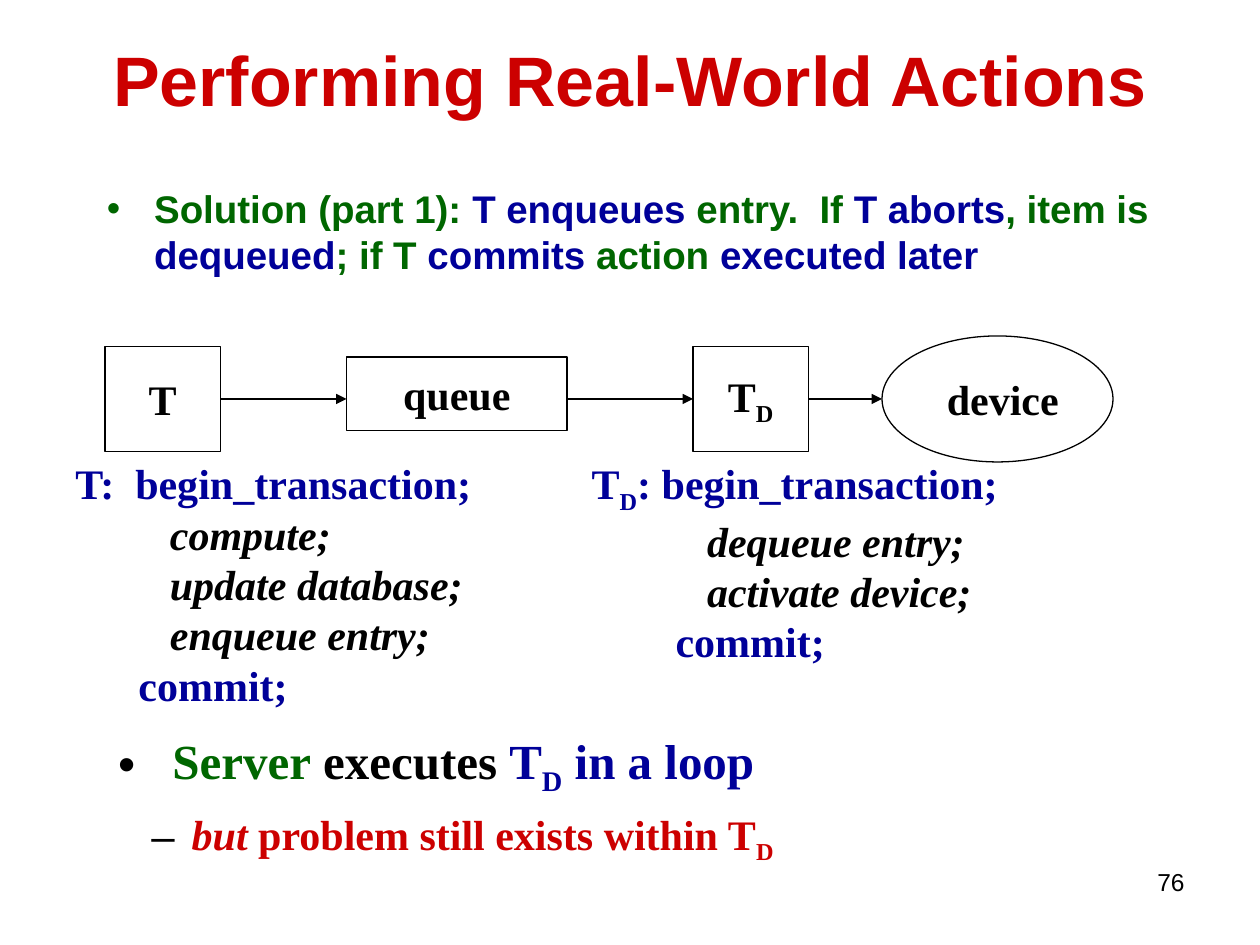
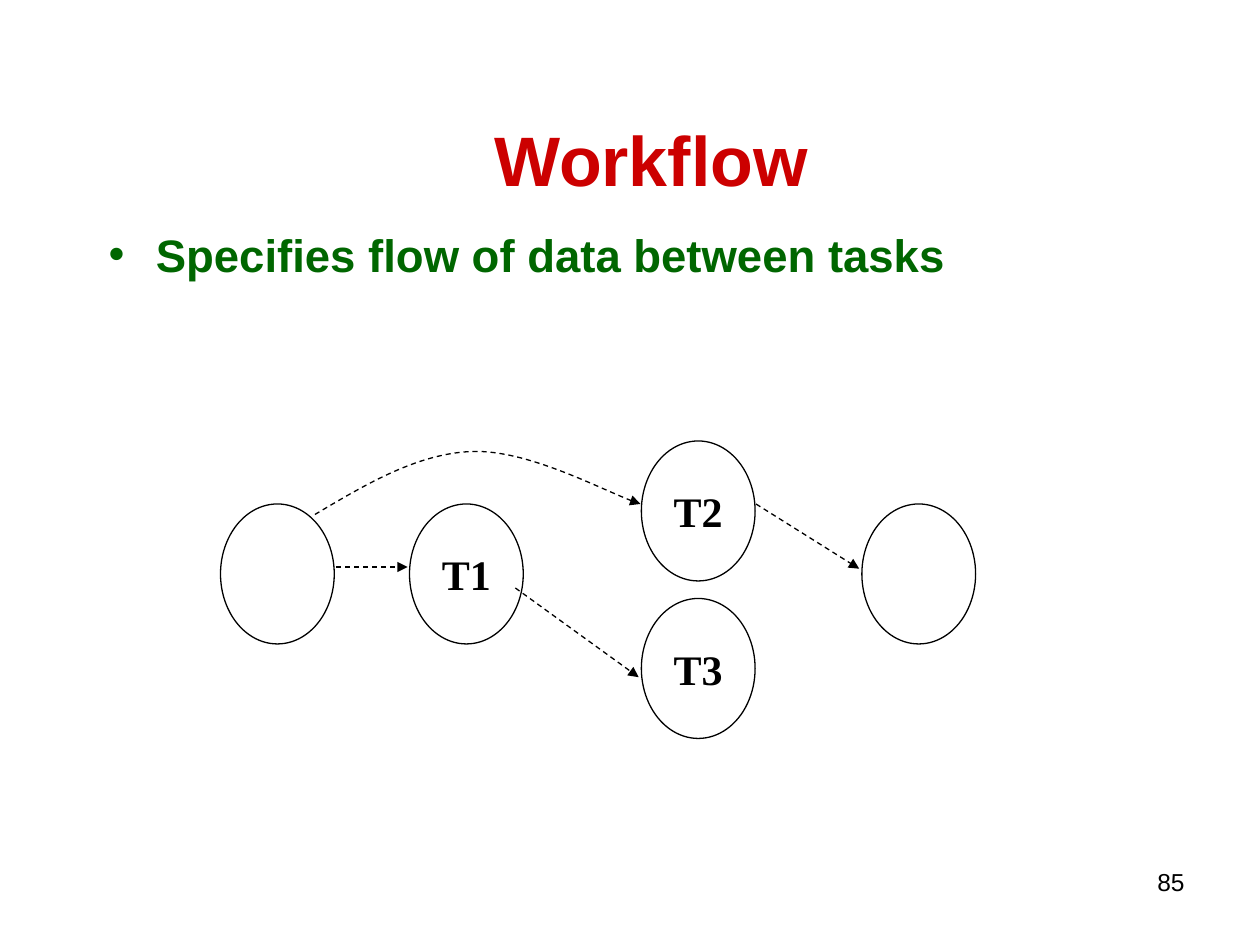
from dataclasses import dataclass

from lxml import etree
from pptx import Presentation
from pptx import util as u
from pptx.dml.color import RGBColor
from pptx.enum import dml, shapes, text
from pptx.oxml import ns

Pt = u.Pt


@dataclass(frozen=True)
class Theme:
    red: str = "CC0000"
    green: str = "006600"
    blue: str = "000099"
    black: str = "000000"
    white: str = "FFFFFF"
    sans: str = "Arial"
    serif: str = "Times New Roman"
    title: float = 40
    statement: float = 28
    definition: float = 26
    solution: float = 22
    body: float = 24
    number: float = 14
    line: float = 0.75


THEME = Theme()
LEFT, CENTER, RIGHT = text.PP_ALIGN.LEFT, text.PP_ALIGN.CENTER, text.PP_ALIGN.RIGHT
SUB, ITALIC = "sub", "italic"


def rgb(color):
    return RGBColor.from_string(color)


def add_xml(parent, tag, **attributes):
    return etree.SubElement(parent, ns.qn(tag), attributes)


def indent(paragraph, margin, hanging=0, bullet=None, color=THEME.black):
    properties = paragraph._p.get_or_add_pPr()
    properties.set("marL", str(Pt(margin)))
    properties.set("indent", str(Pt(-hanging)))
    if bullet:
        add_xml(add_xml(properties, "a:buClr"), "a:srgbClr", val=color)
        add_xml(properties, "a:buFont", typeface=THEME.sans)
        add_xml(properties, "a:buChar", char=bullet)


def write(paragraph, runs, size, face=THEME.serif, bold=True, align=LEFT):
    paragraph.alignment = align
    font = paragraph.font
    font.size, font.name, font.bold = Pt(size), face, bold
    colors = {color for _, color, *_ in runs}
    if len(colors) == 1:
        font.color.rgb = rgb(runs[0][1])
    for words, color, *styles in runs:
        run = paragraph.add_run()
        run.text = words
        if len(colors) > 1:
            run.font.color.rgb = rgb(color)
        if ITALIC in styles:
            run.font.italic = True
        if SUB in styles:
            run.font._element.set("baseline", "-25000")


def add_text(slide, box, anchor=text.MSO_ANCHOR.TOP):
    frame = slide.shapes.add_textbox(*map(Pt, box)).text_frame
    frame.word_wrap = True
    frame.vertical_anchor = anchor
    return frame


def add_title(slide, box, words):
    frame = add_text(slide, box, text.MSO_ANCHOR.MIDDLE)
    write(frame.paragraphs[0], [(words, THEME.red)], THEME.title, THEME.sans, align=CENTER)


def add_bullet(slide, box, runs, size):
    point = add_text(slide, box).paragraphs[0]
    indent(point, 27, 27, "•", THEME.green)
    write(point, runs, size, THEME.sans)


def add_number(slide, number):
    frame = add_text(slide, (516, 492, 168, 37))
    write(frame.paragraphs[0], [(number, THEME.black)], THEME.number, THEME.sans, False, RIGHT)


def add_node(slide, kind, box, runs=()):
    node = slide.shapes.add_shape(kind, *map(Pt, box))
    node.shadow.inherit = False
    node.fill.solid()
    node.fill.fore_color.rgb = rgb(THEME.white)
    node.line.color.rgb = rgb(THEME.black)
    node.line.width = Pt(THEME.line)
    if runs:
        frame = node.text_frame
        frame.word_wrap = False
        frame.vertical_anchor = text.MSO_ANCHOR.MIDDLE
        write(frame.paragraphs[0], runs, THEME.body, align=CENTER)
    return node


def style_arrow(arrow, dashed):
    arrow.line.color.rgb = rgb(THEME.black)
    arrow.line.width = Pt(THEME.line)
    if dashed:
        arrow.line.dash_style = dml.MSO_LINE.DASH
    add_xml(arrow.line._get_or_add_ln(), "a:tailEnd", type="triangle")


def add_arrow(slide, start, end, dashed=False):
    arrow = slide.shapes.add_connector(shapes.MSO_CONNECTOR.STRAIGHT, *map(Pt, start + end))
    style_arrow(arrow, dashed)
    add_xml(arrow._element.spPr, "a:effectLst")
    return arrow


def add_curved_arrow(slide, points):
    start, *controls = [(Pt(x), Pt(y)) for x, y in points]
    builder = slide.shapes.build_freeform(*start)
    builder.add_line_segments(controls, close=False)
    curve = builder.convert_to_shape()
    curve.shadow.inherit = False
    curve.fill.background()
    segments = list(curve._element.iter(ns.qn("a:lnTo")))
    outline = segments[0].getparent()
    for first in range(0, len(segments), 3):
        bezier = add_xml(outline, "a:cubicBezTo")
        for segment in segments[first:first + 3]:
            bezier.append(segment[0])
            outline.remove(segment)
    style_arrow(curve, True)


def add_pipeline(slide, box):
    left, top = box[:2]
    middle = top + 36
    rectangle, oval = shapes.MSO_SHAPE.RECTANGLE, shapes.MSO_SHAPE.OVAL
    black = THEME.black
    transaction = add_node(slide, rectangle, (left, top + 6, 66, 60), [("T", black)])
    add_node(slide, rectangle, (left + 138, top + 12, 126, 42), [("queue", black)])
    dequeuer = add_node(slide, rectangle, (left + 336, top + 6, 66, 60),
                        [("T", black), ("D", black, SUB)])
    add_node(slide, oval, (left + 444, top, 132, 72))
    device = add_text(slide, (left + 474, top + 18, 79, 36))
    write(device.paragraphs[0], [("device", black)], THEME.body)
    enqueue, dequeue, activate = [
        add_arrow(slide, (left + start, middle), (left + end, middle))
        for start, end in ((66, 138), (264, 336), (402, 444))]
    enqueue.begin_connect(transaction, 3)
    dequeue.end_connect(dequeuer, 1)
    activate.begin_connect(dequeuer, 3)


def add_program(slide, box, heading, steps, step_indent, commit_indent):
    frame = add_text(slide, box)
    write(frame.paragraphs[0], heading, THEME.body)
    lines = [(step_indent, (step, THEME.black, ITALIC)) for step in steps]
    for margin, run in lines + [(commit_indent, ("commit;", THEME.blue))]:
        line = frame.add_paragraph()
        indent(line, margin)
        write(line, [run], THEME.body)


def add_conclusion(slide, box):
    frame = add_text(slide, box)
    server = frame.paragraphs[0]
    indent(server, 31, 31, "•")
    write(server, [("Server", THEME.green), (" executes ", THEME.black), ("T", THEME.blue),
                   ("D", THEME.blue, SUB), (" in a loop", THEME.blue)], THEME.statement)
    problem = frame.add_paragraph()
    problem.space_before = Pt(6)
    indent(problem, 42, 23, "–")
    write(problem, [("but", THEME.red, ITALIC), (" problem still exists within T", THEME.red),
                    ("D", THEME.red, SUB)], THEME.body)


def add_task_graph(slide, box):
    left, top = box[:2]

    def place(x, y):
        return left + x, top + y

    for task, x, y in (("", 0, 36), ("T1", 108, 36), ("T2", 240.5, 0),
                       ("T3", 240.5, 90), ("", 366.5, 36)):
        add_node(slide, shapes.MSO_SHAPE.OVAL, place(x, y) + (65, 80),
                 [(task, THEME.black)] if task else ())
    for start, end in (((66, 72), (107, 72)), ((306, 36), (365, 73)),
                       ((168.5, 84), (239, 135))):
        add_arrow(slide, place(*start), place(*end), True)
    bend = ((54, 42), (83.5, 24.5), (113, 7), (144, 6), (175, 5), (224, 31), (240, 36))
    add_curved_arrow(slide, [place(*point) for point in bend])


def build_actions(slide):
    green, blue = THEME.green, THEME.blue
    add_title(slide, (54, 0, 612, 90), "Performing Real-World Actions")
    add_bullet(slide, (54, 102, 666, 402), [
        ("Solution (part 1): ", green), ("T enqueues", blue), (" entry.  If ", green),
        ("T aborts", blue), (", item is ", green), ("dequeued", blue), ("; if T ", green),
        ("commits", blue), (" action ", green), ("executed later", blue)], THEME.solution)
    add_pipeline(slide, (60, 192, 576, 72))
    add_program(slide, (36, 258, 253, 180), [("T:  begin_transaction;", blue)],
                ("compute;", "update database;", "enqueue entry;"), 54, 36)
    add_program(slide, (331, 258, 252, 127),
                [("T", blue), ("D", blue, SUB), (": begin_transaction;", blue)],
                ("dequeue entry;", "activate device;"), 66, 48)
    add_conclusion(slide, (60.5, 414, 402, 117))
    add_number(slide, "76")


def build_workflow(slide):
    add_title(slide, (72, 36, 600, 109.5), "Workflow")
    add_bullet(slide, (55, 126, 629, 59),
               [("Specifies flow of data between tasks", THEME.green)], THEME.definition)
    add_task_graph(slide, (126, 252, 431.5, 170))
    add_number(slide, "85")


def main():
    deck = Presentation()
    deck.slide_width, deck.slide_height = Pt(720), Pt(540)
    for build in (build_actions, build_workflow):
        build(deck.slides.add_slide(deck.slide_layouts[6]))
    deck.save("out.pptx")


if __name__ == "__main__":
    main()
